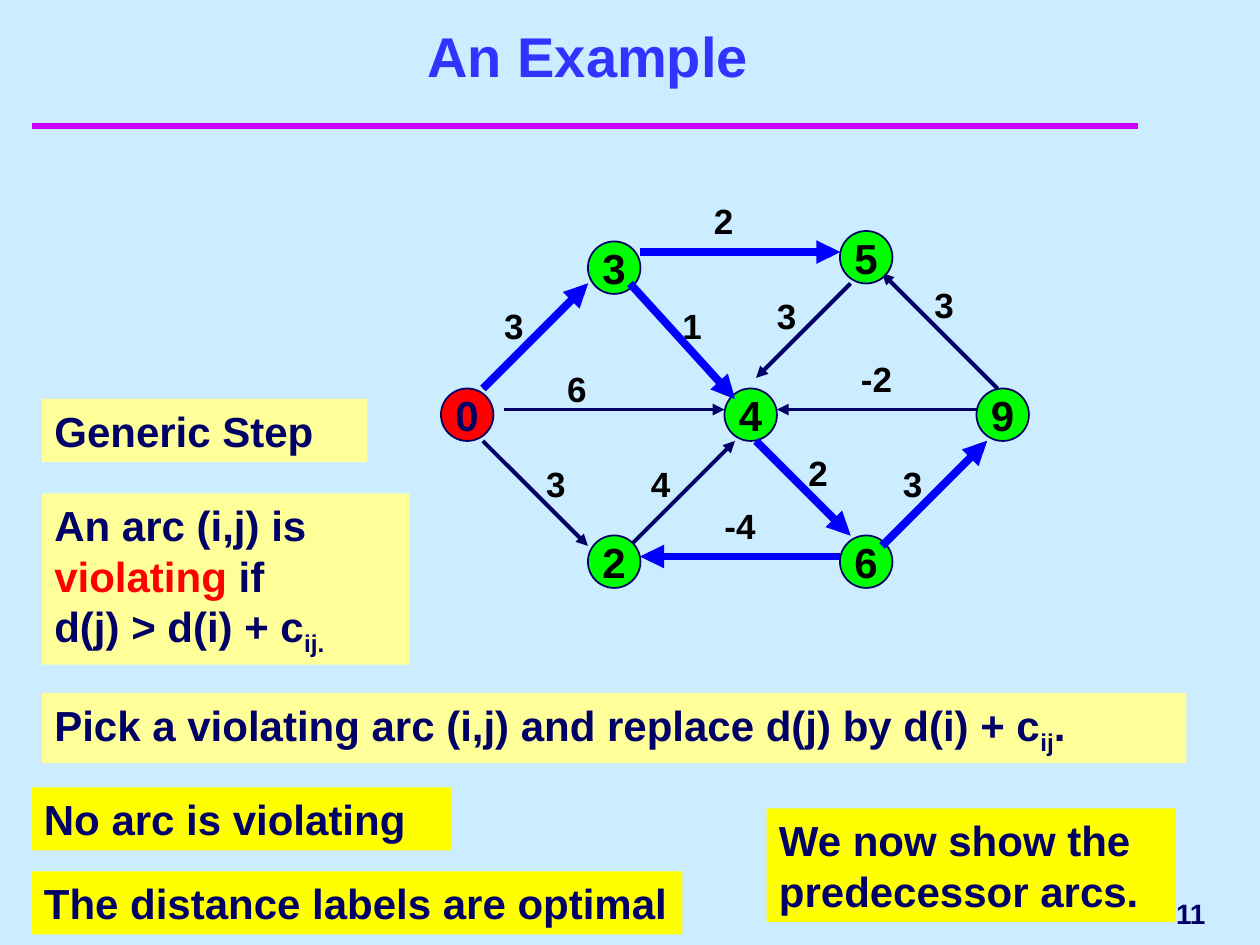
import pptx
import pptx.dml.color
import pptx.enum.shapes
import pptx.enum.text
import pptx.oxml
import pptx.oxml.ns
import pptx.util

SHAPE = pptx.enum.shapes.MSO_SHAPE
ANCHOR = pptx.enum.text.MSO_ANCHOR
ALIGN = pptx.enum.text.PP_ALIGN
FIT = pptx.enum.text.MSO_AUTO_SIZE
NS = pptx.oxml.ns.nsdecls("a")

NAVY, BLACK, RED, GREEN, BLUE = "000066", "000000", "FF0000", "00FF00", "0000FF"
PALE, YELLOW = "FFFF99", "FFFF00"


def color(value):
    return pptx.dml.color.RGBColor.from_string(value)


def grid(*cells):
    return [pptx.util.Inches(cell / 12) for cell in cells]


class GraphSlide:
    font = "Arial"
    node_size = 5

    def __init__(self, prs, background):
        self.s = prs.slides.add_slide(prs.slide_layouts[6])
        fill = self.s.background.fill
        fill.solid()
        fill.fore_color.rgb = color(background)

    def set_text(self, sp, parts, size, ink, align=ALIGN.LEFT, anchor=ANCHOR.TOP,
                 wrap=True, fit=FIT.NONE, inset=(0.1, 0.05)):
        tf = sp.text_frame
        tf.word_wrap = wrap
        tf.auto_size = fit
        tf.vertical_anchor = anchor
        tf.margin_left = tf.margin_right = pptx.util.Inches(inset[0])
        tf.margin_top = tf.margin_bottom = pptx.util.Inches(inset[1])
        p = tf.paragraphs[0]
        p.alignment = align
        p.font.name = self.font
        p.font.size = pptx.util.Pt(size)
        p.font.bold = True
        single = not any(tint for _, tint, _ in parts)
        if single:
            p.font.color.rgb = color(ink)
        for text, tint, base in parts:
            if text == "\n":
                p.add_line_break()
                continue
            r = p.add_run()
            r.text = text
            if not single:
                r.font.color.rgb = color(tint or ink)
            if base:
                r._r.get_or_add_rPr().set("baseline", str(base * 1000))

    def text(self, box, text, size, ink=NAVY, **style):
        sp = self.s.shapes.add_textbox(*grid(*box))
        self.set_text(sp, [(text, None, 0)], size, ink, **style)

    def shape(self, kind, box, fill):
        sp = self.s.shapes.add_shape(kind, *grid(*box))
        sp.shadow.inherit = False
        sp.fill.solid()
        sp.fill.fore_color.rgb = color(fill)
        return sp

    def note(self, box, fill, *parts):
        sp = self.shape(SHAPE.RECTANGLE, box, fill)
        sp.line.fill.background()
        self.set_text(sp, parts, 24, NAVY, fit=FIT.SHAPE_TO_FIT_TEXT)

    def node(self, col, row, distance, fill=GREEN, ink=BLACK):
        box = (col, row, self.node_size, self.node_size)
        sp = self.shape(SHAPE.OVAL, box, fill)
        sp.line.color.rgb = color(NAVY)
        sp.line.width = pptx.util.Pt(1)
        self.set_text(sp, [(distance, None, 0)], 24, ink, ALIGN.CENTER,
                      ANCHOR.MIDDLE, wrap=False)

    def line(self, ends, ink, width, arrow=False):
        kind = pptx.enum.shapes.MSO_CONNECTOR.STRAIGHT
        sp = self.s.shapes.add_connector(kind, *grid(*ends))
        sp.line.color.rgb = color(ink)
        sp.line.width = pptx.util.Pt(width)
        if arrow:
            head = pptx.oxml.parse_xml(f'<a:tailEnd {NS} type="triangle"/>')
            sp.line._get_or_add_ln().append(head)
        sp._element.spPr.append(pptx.oxml.parse_xml(f"<a:effectLst {NS}/>"))

    def cost(self, col, row, value):
        width = 3 if len(value) == 1 else 6
        self.text((col, row, width, 4), value, 20, BLACK,
                  fit=FIT.SHAPE_TO_FIT_TEXT, inset=(0, 0))


def main():
    prs = pptx.Presentation()
    prs.slide_width, prs.slide_height = grid(120, 90)
    slide = GraphSlide(prs, "CCECFF")

    slide.line((3, 12, 108.4, 12), "CC00FF", 4)
    slide.text((5, 4, 102, 5), "An Example", 32, "3333FF",
               align=ALIGN.CENTER, anchor=ANCHOR.BOTTOM)

    predecessor_arcs = [
        (61, 24, 80, 24), (72, 42, 81, 51), (80, 53, 61, 53),
        (46, 37, 56, 27), (60, 27, 70, 38), (84, 52, 94, 42),
    ]
    other_arcs = [
        (95, 37, 84, 26), (81, 27, 72, 36), (48, 39, 69, 39),
        (60, 52, 70, 42), (46, 42, 56, 52), (93, 39, 74, 39),
    ]
    for arc in other_arcs + predecessor_arcs:
        slide.line(arc, NAVY, 2.25, arrow=True)

    costs = [
        (48, 29, "3"), (68, 19, "2"), (89, 27, "3"), (74, 28, "3"),
        (65, 29, "1"), (54, 35, "6"), (82, 34, "-2"), (86, 44, "3"),
        (77, 43, "2"), (69, 48, "-4"), (62, 44, "4"), (52, 44, "3"),
    ]
    for col, row, value in costs:
        slide.cost(col, row, value)

    slide.node(42, 37, "0", RED, NAVY)
    nodes = [
        (56, 23, "3"), (80, 22, "5"), (69, 37, "4"),
        (80, 51, "6"), (56, 51, "2"), (93, 37, "9"),
    ]
    for col, row, distance in nodes:
        slide.node(col, row, distance)

    for arc in predecessor_arcs:
        slide.line(arc, BLUE, 4.5, arrow=True)

    slide.note((4, 38, 31, 6), PALE, ("Generic Step", None, 0))
    slide.note((4, 47, 35, 16.3), PALE,
               ("An arc (i,j) is ", None, 0), ("violating", RED, 0),
               (" if ", None, 0), ("\n", None, 0),
               ("d(j) > d(i) + c", None, 0), ("ij.", None, -25))
    slide.note((4, 66, 109, 6.7), PALE,
               ("Pick a violating arc (i,j) and replace d(j) by d(i) + c", None, 0),
               ("ij", None, -25), (".", None, 0))
    slide.note((3, 75, 40, 6), YELLOW, ("No arc is violating", None, 0))
    slide.note((3, 83, 62, 6), YELLOW,
               ("The distance labels are optimal", None, 0))
    slide.note((73, 77, 39, 10.8), YELLOW,
               ("We now show the predecessor arcs.", None, 0))

    slide.text((93, 84, 23, 6), "11", 16, align=ALIGN.RIGHT, anchor=ANCHOR.MIDDLE)
    prs.save("out.pptx")


if __name__ == "__main__":
    main()
